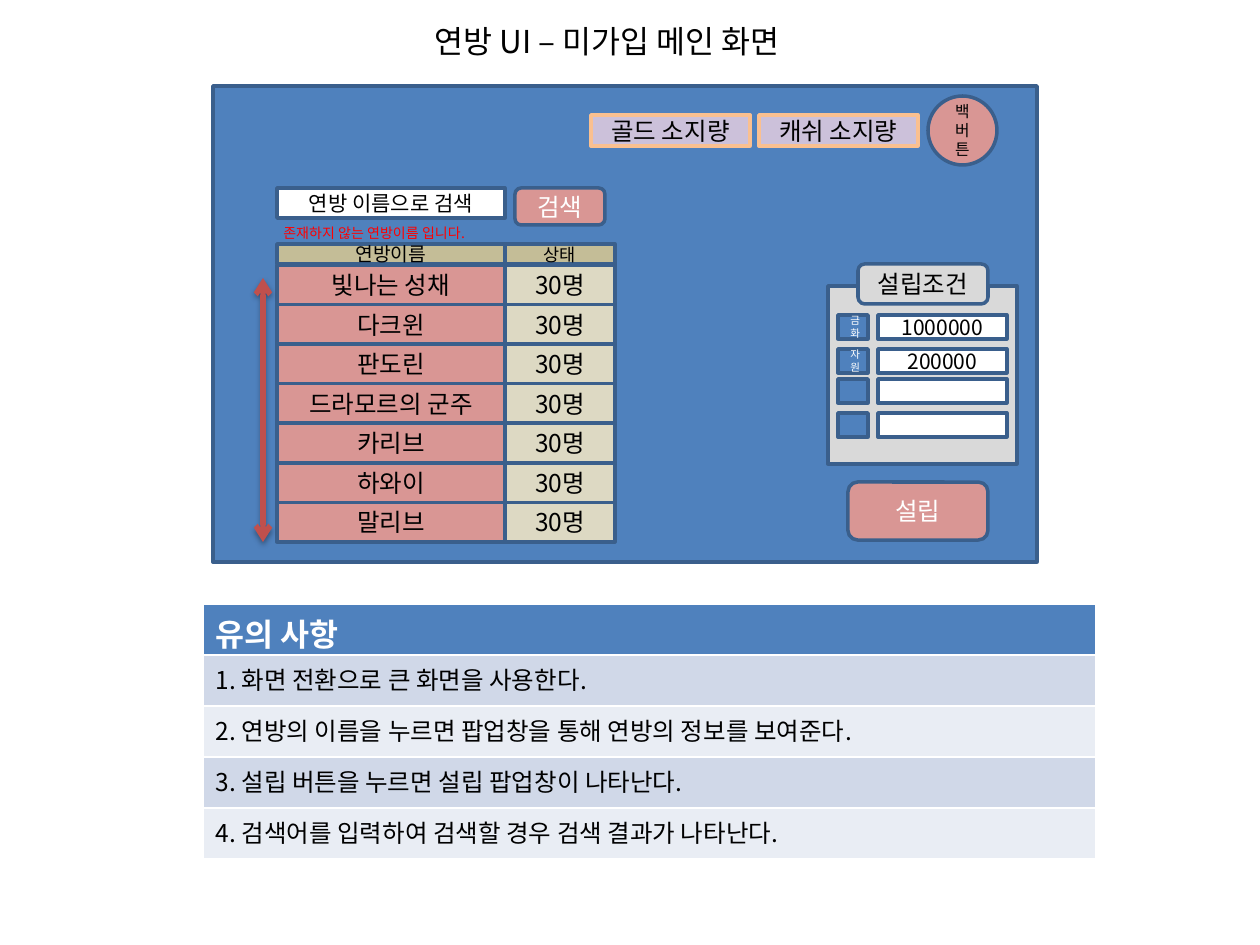
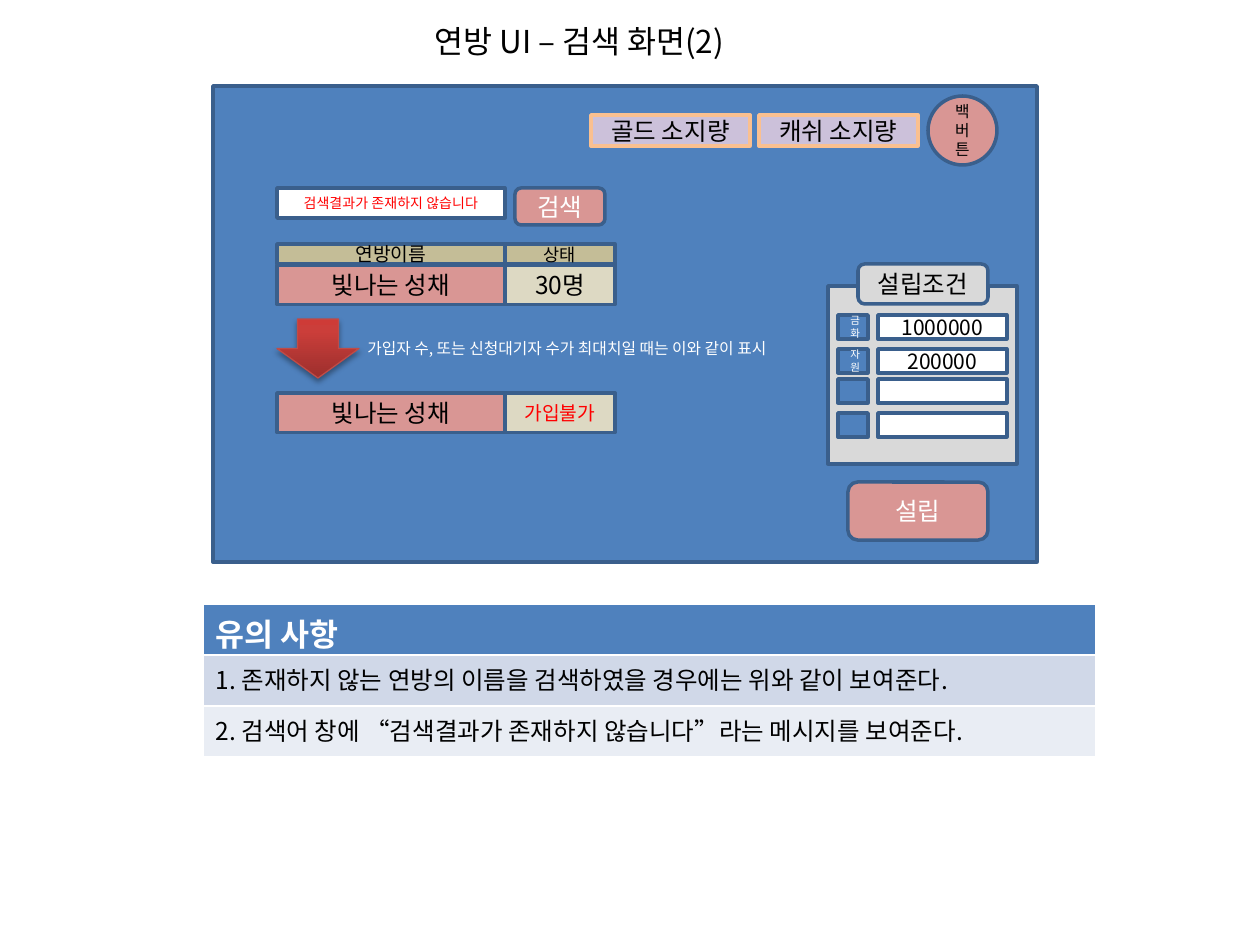
from lxml import etree
from pptx import Presentation
from pptx import util as u
from pptx.dml import color
from pptx.enum import shapes, text
from pptx.oxml import ns, parse_xml

PIXEL = 914400 / 126
FONT = "Noto Sans CJK KR"
COLORS = {
    "blue": "4F81BD", "outline": "3A5F8C", "rose": "D99694", "khaki": "C4BD97",
    "sand": "DDD9C3", "gray": "D9D9D9", "lilac": "CCC1DA", "peach": "FAC090",
    "white": "FFFFFF", "black": "000000", "red": "FF0000", "brick": "C0504D",
    "arrow_edge": "BF4C48", "band_dark": "D0D8E8", "band_light": "E9EDF4",
}
ARROW_GRADIENT = [(0, "9C2F2D"), (80, "CB3E3A"), (100, "CE3B37")]

MAIN = {
    "title": "연방 UI – 미가입 메인 화면",
    "title_width": 416,
    "search": ("연방 이름으로 검색", 12, "black"),
    "guilds": ["빛나는 성채", "다크윈", "판도린", "드라모르의 군주", "카리브", "하와이", "말리브"],
    "notes": [
        "1. 화면 전환으로 큰 화면을 사용한다.",
        "2. 연방의 이름을 누르면 팝업창을 통해 연방의 정보를 보여준다.",
        "3. 설립 버튼을 누르면 설립 팝업창이 나타난다.",
        "4. 검색어를 입력하여 검색할 경우 검색 결과가 나타난다.",
    ],
}
RESULT = {
    "title": "연방 UI – 검색 화면(2)",
    "title_width": 345,
    "search": ("검색결과가 존재하지 않습니다", 8, "red"),
    "guilds": ["빛나는 성채"],
    "notes": [
        "1. 존재하지 않는 연방의 이름을 검색하였을 경우에는 위와 같이 보여준다.",
        "2. 검색어 창에 “검색결과가 존재하지 않습니다”라는 메시지를 보여준다.",
    ],
}
MISSING_NAME = "존재하지 않는 연방이름 입니다."
FULL_NOTICE = "가입자 수, 또는 신청대기자 수가 최대치일 때는 이와 같이 표시"
MEMBERS = "30명"
FULL = "가입불가"
CONDITIONS = [(315, "금화", "1000000"), (349, "자원", "200000"), (379, "", ""), (413, "", "")]

NAME_LEFT, NAME_WIDTH = 277, 228
STATE_LEFT, STATE_WIDTH = 505, 110
HEADER_TOP, HEADER_HEIGHT = 244, 20
ROWS_TOP, ROWS_BOTTOM, ROWS_SHOWN = 265, 542, 7
ROW_HEIGHT = (ROWS_BOTTOM - ROWS_TOP) / ROWS_SHOWN
FULL_ROW_TOP = 393
NOTES_LEFT, NOTES_TOP, NOTES_WIDTH, NOTE_HEIGHT = 203, 604, 893, 51

RECT = shapes.MSO_SHAPE.RECTANGLE
ROUND = shapes.MSO_SHAPE.ROUNDED_RECTANGLE


def emu(*pixels):
    return [u.Emu(round(pixel * PIXEL)) for pixel in pixels]


def rgb(name):
    return color.RGBColor.from_string(COLORS[name])


def write(frame, words, size=14, ink="black", bold=False, align=text.PP_ALIGN.LEFT):
    paragraph = frame.paragraphs[0]
    paragraph.alignment = align
    run = paragraph.add_run()
    run.text = words
    run.font.size = u.Pt(size)
    run.font.bold = bold
    run.font.name = FONT
    run.font.color.rgb = rgb(ink)
    east_asian = etree.SubElement(run.font._element, ns.qn("a:ea"))
    east_asian.set("typeface", FONT)


def add_box(slide, place, words="", kind=RECT, fill="white", line="outline", size=14, ink="black"):
    shape = slide.shapes.add_shape(kind, *emu(*place))
    shape.shadow.inherit = False
    shape.fill.solid()
    shape.fill.fore_color.rgb = rgb(fill)
    shape.line.color.rgb = rgb(line)
    shape.line.width = u.Pt(2)
    shape.text_frame.vertical_anchor = text.MSO_ANCHOR.MIDDLE
    if words:
        write(shape.text_frame, words, size, ink, align=text.PP_ALIGN.CENTER)


def add_label(slide, place, words, size, ink):
    frame = slide.shapes.add_textbox(*emu(*place)).text_frame
    frame.word_wrap = False
    frame.auto_size = text.MSO_AUTO_SIZE.SHAPE_TO_FIT_TEXT
    write(frame, words, size, ink)


def add_shadow(properties):
    properties.append(parse_xml(
        f'<a:effectLst {ns.nsdecls("a")}><a:outerShdw blurRad="39370" dist="22860" dir="5400000" '
        f'rotWithShape="0"><a:srgbClr val="{COLORS["black"]}"><a:alpha val="35000"/></a:srgbClr>'
        '</a:outerShdw></a:effectLst>'))


def add_guild_row(slide, top, name, state=MEMBERS, size=14, ink="black"):
    add_box(slide, (NAME_LEFT, top, NAME_WIDTH, ROW_HEIGHT), name, fill="rose")
    add_box(slide, (STATE_LEFT, top, STATE_WIDTH, ROW_HEIGHT), state, fill="sand", size=size, ink=ink)


def add_conditions(slide):
    add_box(slide, (828, 286, 189, 178), fill="gray")
    add_box(slide, (858, 264, 130, 40), "설립조건", kind=ROUND, fill="gray")
    for top, label, amount in CONDITIONS:
        add_box(slide, (838, top, 30, 24), label, fill="blue", size=6, ink="white")
        add_box(slide, (878, top, 129, 24), amount, size=12)


def add_notes(slide, notes):
    rows = ["유의 사항", *notes]
    place = emu(NOTES_LEFT, NOTES_TOP, NOTES_WIDTH, NOTE_HEIGHT * len(rows))
    table = slide.shapes.add_table(len(rows), 1, *place).table
    for index, words in enumerate(rows):
        cell = table.cell(index, 0)
        cell.fill.solid()
        if index == 0:
            cell.fill.fore_color.rgb = rgb("blue")
            write(cell.text_frame, words, 18, "white", bold=True)
        else:
            cell.fill.fore_color.rgb = rgb("band_dark" if index % 2 else "band_light")
            write(cell.text_frame, words)


def add_scroll_arrow(slide):
    ends = emu(263, ROWS_BOTTOM, 263, 278)
    connector = slide.shapes.add_connector(shapes.MSO_CONNECTOR.STRAIGHT, *ends)
    connector.line.color.rgb = rgb("brick")
    connector.line.width = u.Pt(3)
    line = connector.line._get_or_add_ln()
    for end in ("a:headEnd", "a:tailEnd"):
        etree.SubElement(line, ns.qn(end)).set("type", "arrow")
    add_shadow(connector._element.spPr)


def add_down_arrow(slide):
    shape = slide.shapes.add_shape(shapes.MSO_SHAPE.DOWN_ARROW, *emu(277, 319, 82, 59))
    shape.line.color.rgb = rgb("arrow_edge")
    shape.line.width = u.Pt(0.75)
    stops = "".join(f'<a:gs pos="{percent * 1000}"><a:srgbClr val="{value}"/></a:gs>'
                    for percent, value in ARROW_GRADIENT)
    properties = shape._element.spPr
    properties.insert(2, parse_xml(
        f'<a:gradFill {ns.nsdecls("a")} rotWithShape="1"><a:gsLst>{stops}</a:gsLst>'
        '<a:lin ang="16200000" scaled="0"/></a:gradFill>'))
    add_shadow(properties)


def add_screen(presentation, content):
    slide = presentation.slides.add_slide(presentation.slide_layouts[6])
    add_label(slide, (422, 16, content["title_width"], 50), content["title"], 18, "black")
    add_box(slide, (213, 86, 824, 476), fill="blue")
    add_box(slide, (591, 115, 159, 31), "골드 소지량", fill="lilac", line="peach")
    add_box(slide, (759, 115, 159, 31), "캐쉬 소지량", fill="lilac", line="peach")
    add_box(slide, (928, 96, 69, 69), "백버튼", kind=shapes.MSO_SHAPE.OVAL, fill="rose", size=9)
    words, size, ink = content["search"]
    add_box(slide, (NAME_LEFT, 188, NAME_WIDTH, 30), words, size=size, ink=ink)
    add_box(slide, (515, 188, 90, 37), "검색", kind=ROUND, fill="rose", ink="white")
    add_box(slide, (NAME_LEFT, HEADER_TOP, NAME_WIDTH, HEADER_HEIGHT), "연방이름", fill="khaki", size=11)
    add_box(slide, (STATE_LEFT, HEADER_TOP, STATE_WIDTH, HEADER_HEIGHT), "상태", fill="khaki", size=10)
    for index, name in enumerate(content["guilds"]):
        add_guild_row(slide, ROWS_TOP + index * ROW_HEIGHT, name)
    add_conditions(slide)
    add_box(slide, (848, 482, 140, 58), "설립", kind=ROUND, fill="rose", ink="white")
    add_notes(slide, content["notes"])
    return slide


presentation = Presentation()
presentation.slide_width, presentation.slide_height = emu(1260, 945)

main_slide = add_screen(presentation, MAIN)
add_label(main_slide, (271, 218, 228, 30), MISSING_NAME, 8, "red")
add_scroll_arrow(main_slide)

result_slide = add_screen(presentation, RESULT)
add_guild_row(result_slide, FULL_ROW_TOP, RESULT["guilds"][0], FULL, size=11, ink="red")
add_down_arrow(result_slide)
add_label(result_slide, (355, 333, 493, 31), FULL_NOTICE, 9, "white")

presentation.save("out.pptx")
